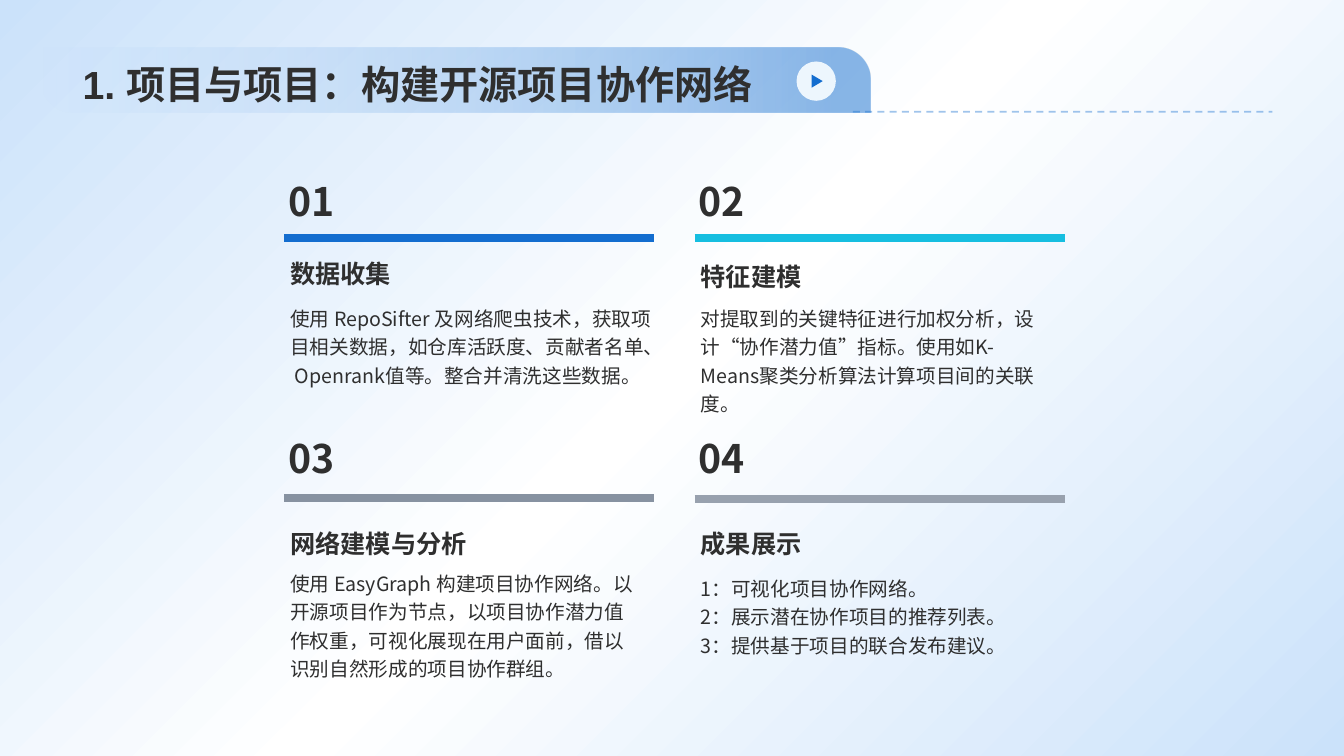
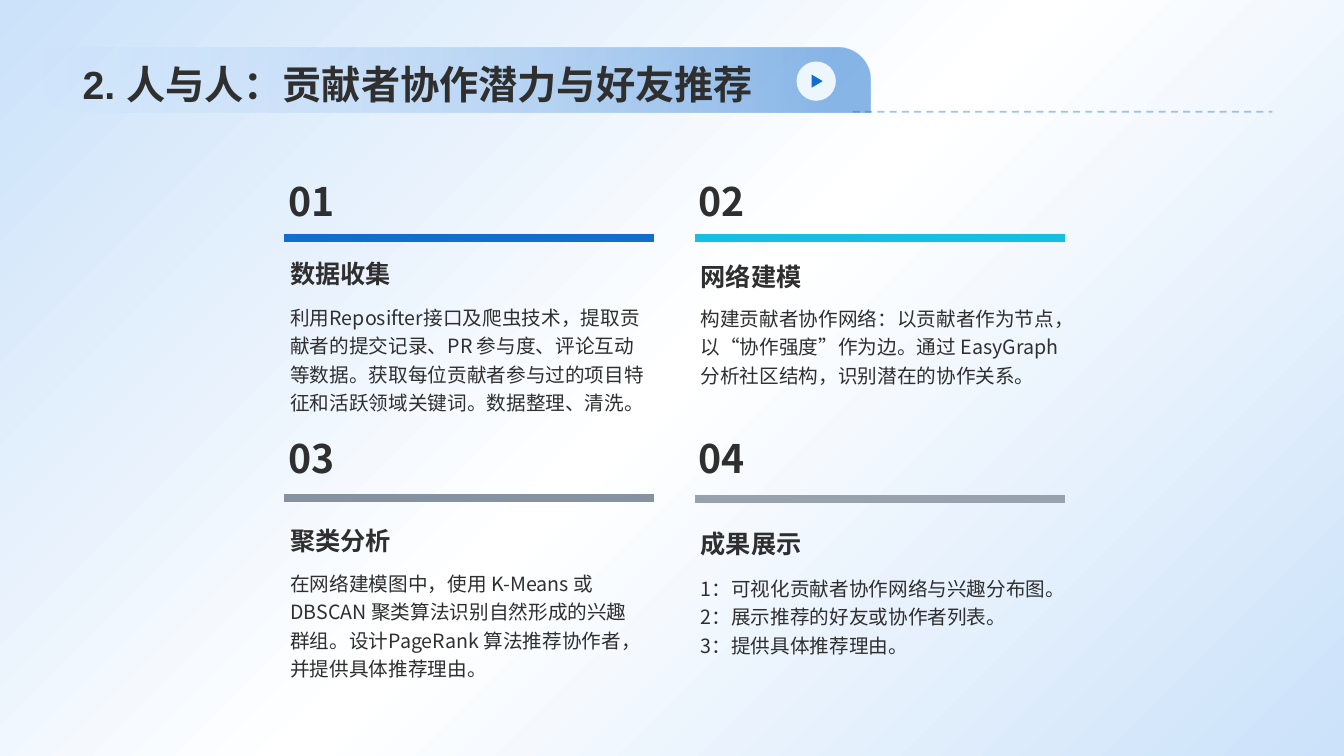
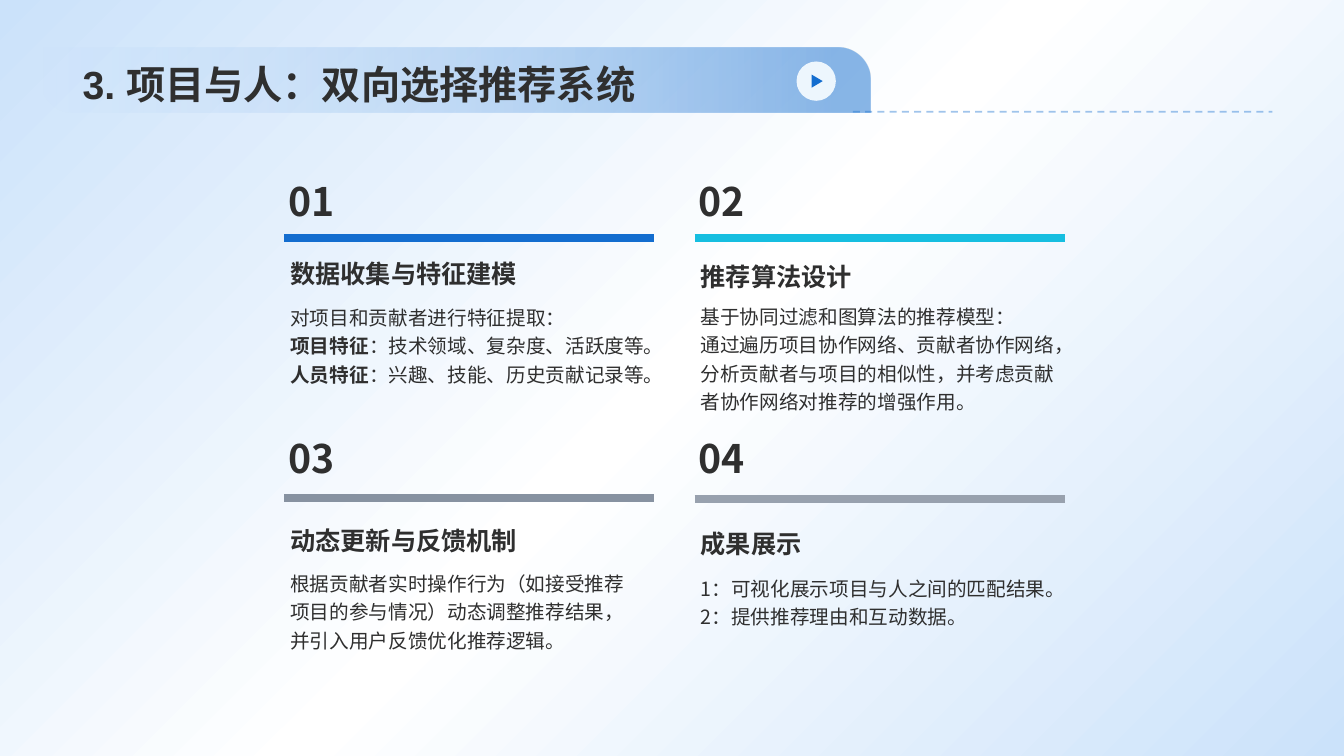
from lxml import etree
from pptx import Presentation
from pptx.dml.color import RGBColor
from pptx.enum import dml, lang, shapes, text
from pptx.oxml import ns
from pptx.util import Inches, Pt

BLUE, CYAN, SLATE, GREY, INK = "136DCF", "16BEE0", "8792A1", "98A1AE", "2F2F2F"
CJK = "Noto Sans CJK SC"
hex_color = RGBColor.from_string


def set_gradient(element, stops):
    stop_list = element.xpath(".//a:gradFill/a:gsLst")[0]
    for old in list(stop_list):
        stop_list.remove(old)
    for position, color, opacity in stops:
        stop = etree.SubElement(stop_list, ns.qn("a:gs"), pos=str(position * 1000))
        shade = etree.SubElement(stop, ns.qn("a:srgbClr"), val=color)
        etree.SubElement(shade, ns.qn("a:alpha"), val=str(opacity * 1000))


def write(frame, lines, frame_format, size, bold=False, spacing=1.0, latin=CJK):
    for name, value in frame_format.items():
        setattr(frame, name, value)
    for index, line in enumerate(lines):
        paragraph = frame.paragraphs[0] if index == 0 else frame.add_paragraph()
        paragraph.alignment = text.PP_ALIGN.LEFT
        paragraph.line_spacing = spacing
        lead, _, rest = line.rpartition("|")
        for words, strong in ((lead, True), (rest, bold)):
            if words:
                run = paragraph.add_run()
                run.text = words
                font_format = {"size": Pt(size), "bold": strong, "name": latin,
                               "language_id": lang.MSO_LANGUAGE_ID.SIMPLIFIED_CHINESE}
                for name, value in font_format.items():
                    setattr(run.font, name, value)
                run.font.color.rgb = hex_color(INK)
                run.font._element.get_or_add_latin().addnext(
                    run.font._element.makeelement(ns.qn("a:ea"), {"typeface": CJK}))


padding = {f"margin_{side}": Inches(0.12) for side in ("left", "top", "right", "bottom")}
title_format = {"vertical_anchor": text.MSO_ANCHOR.BOTTOM, "word_wrap": True,
                "auto_size": text.MSO_AUTO_SIZE.NONE}
number_format = {"word_wrap": False, "auto_size": text.MSO_AUTO_SIZE.SHAPE_TO_FIT_TEXT}
body_format = {"word_wrap": True, **padding}
heading_format = {**body_format, "vertical_anchor": text.MSO_ANCHOR.MIDDLE}

steps = [
    ("01", 2.76, 1.71, 2.36, BLUE, 1.0),
    ("02", 6.83, 1.71, 2.36, CYAN, 1.2),
    ("03", 2.76, 4.26, 4.94, SLATE, 1.2),
    ("04", 6.83, 4.26, 4.95, GREY, 1.2),
]

topics = [
    ("1. 项目与项目：构建开源项目协作网络", [
        ("数据收集", 2.54, 2.88, 3.83, [
            "使用 RepoSifter 及网络爬虫技术，获取项目相关数据，如仓库活跃度、贡献者名单、 Openrank值等。整合并清洗这些数据。"]),
        ("特征建模", 2.54, 2.88, 3.67, [
            "对提取到的关键特征进行加权分析，设计“协作潜力值”指标。使用如K-Means聚类分析算法计算项目间的关联度。"]),
        ("网络建模与分析", 5.19, 5.51, 3.67, [
            "使用 EasyGraph 构建项目协作网络。以开源项目作为节点，以项目协作潜力值作权重，可视化展现在用户面前，借以识别自然形成的项目协作群组。"]),
        ("成果展示", 5.19, 5.56, 3.67, [
            "1：可视化项目协作网络。",
            "2：展示潜在协作项目的推荐列表。",
            "3：提供基于项目的联合发布建议。"]),
    ]),
    ("2. 人与人：贡献者协作潜力与好友推荐", [
        ("数据收集", 2.54, 2.87, 3.81, [
            "利用Reposifter接口及爬虫技术，提取贡献者的提交记录、PR 参与度、评论互动等数据。获取每位贡献者参与过的项目特征和活跃领域关键词。数据整理、清洗。"]),
        ("网络建模", 2.54, 2.88, 3.92, [
            "构建贡献者协作网络：以贡献者作为节点，以“协作强度”作为边。通过 EasyGraph 分析社区结构，识别潜在的协作关系。"]),
        ("聚类分析", 5.16, 5.51, 3.67, [
            "在网络建模图中，使用 K-Means 或 DBSCAN 聚类算法识别自然形成的兴趣群组。设计PageRank 算法推荐协作者，并提供具体推荐理由。"]),
        ("成果展示", 5.19, 5.56, 3.67, [
            "1：可视化贡献者协作网络与兴趣分布图。",
            "2：展示推荐的好友或协作者列表。",
            "3：提供具体推荐理由。"]),
    ]),
    ("3. 项目与人：双向选择推荐系统", [
        ("数据收集与特征建模", 2.54, 2.87, 3.81, [
            "对项目和贡献者进行特征提取：",
            "项目特征|：技术领域、复杂度、活跃度等。",
            "人员特征|：兴趣、技能、历史贡献记录等。"]),
        ("推荐算法设计", 2.54, 2.86, 3.92, [
            "基于协同过滤和图算法的推荐模型：",
            "通过遍历项目协作网络、贡献者协作网络，分析贡献者与项目的相似性，并考虑贡献者协作网络对推荐的增强作用。"]),
        ("动态更新与反馈机制", 5.16, 5.51, 3.67, [
            "根据贡献者实时操作行为（如接受推荐项目的参与情况）动态调整推荐结果，并引入用户反馈优化推荐逻辑。"]),
        ("成果展示", 5.19, 5.56, 3.67, [
            "1：可视化展示项目与人之间的匹配结果。",
            "2：提供推荐理由和互动数据。"]),
    ]),
]

prs = Presentation()
prs.slide_width, prs.slide_height = Inches(13.33), Inches(7.5)
layout = prs.slide_layouts[5]
for placeholder in list(layout.placeholders)[1:]:
    placeholder._element.getparent().remove(placeholder._element)

backdrop = prs.slide_master.background.fill
backdrop.gradient()
backdrop.gradient_angle = 315
set_gradient(prs.slide_master._element,
             [(0, "CBE2FA", 100), (50, "FFFFFF", 100), (100, "CBE2FA", 100)])

slides = [prs.slides.add_slide(layout) for _ in topics]

banner = []
for preset, left, top, width, height, color in (
    (shapes.MSO_SHAPE.ROUND_2_DIAG_RECTANGLE, 0.4, 0.47, 8.23, 0.65, BLUE),
    (shapes.MSO_SHAPE.OVAL, 7.9, 0.61, 0.39, 0.39, "EDF6FD"),
    (shapes.MSO_SHAPE.ISOSCELES_TRIANGLE, 8.04, 0.75, 0.13, 0.11, BLUE),
):
    part = slides[0].shapes.add_shape(
        preset, Inches(left), Inches(top), Inches(width), Inches(height))
    part.shadow.inherit = False
    part.line.fill.background()
    part.fill.solid()
    part.fill.fore_color.rgb = hex_color(color)
    banner.append(part)
band, button, play_mark = banner
band.adjustments[0], band.adjustments[1] = 0, 0.5
band.fill.gradient()
band.fill.gradient_angle = 0
set_gradient(band._element, [(0, "97C4F5", 0), (96, BLUE, 50)])
play_mark.rotation = 90

dashes = slides[0].shapes.add_connector(
    shapes.MSO_CONNECTOR.STRAIGHT, Inches(8.46), Inches(1.11), Inches(12.62), Inches(1.11))
dashes.line.color.rgb = hex_color(BLUE)
dashes.line.width = Pt(1.25)
dashes.line.dash_style = dml.MSO_LINE.DASH
etree.SubElement(dashes._element.xpath(".//a:ln//a:srgbClr")[0], ns.qn("a:alpha"), val="40000")
etree.SubElement(dashes._element.spPr, ns.qn("a:effectLst"))
for part in (*banner, dashes):
    layout.shapes._spTree.append(part._element)

for slide, (title, cells) in zip(slides, topics):
    heading = slide.shapes.title
    heading.left, heading.top = Inches(0.72), Inches(0.14)
    heading.width, heading.height = Inches(11.88), Inches(0.98)
    write(heading.text_frame, [title], title_format, 28, True, latin="Arial")

    for step, cell in zip(steps, cells):
        number, left, number_top, bar_top, color, heading_spacing = step
        name, name_top, body_top, body_width, lines = cell

        bar = slide.shapes.add_connector(
            shapes.MSO_CONNECTOR.STRAIGHT, Inches(left + 0.06), Inches(bar_top),
            Inches(left + 3.73), Inches(bar_top))
        bar.line.color.rgb = hex_color(color)
        bar.line.width = Pt(6)
        etree.SubElement(bar._element.spPr, ns.qn("a:effectLst"))

        for top, width, height, words, style in (
            (number_top, 0.69, 0.57, [number], (number_format, 28, True)),
            (name_top, 3.67, 0.34, [name], (heading_format, 18, True, heading_spacing)),
            (body_top, body_width, 1.03, lines, (body_format, 14, False, 1.2)),
        ):
            box = slide.shapes.add_textbox(
                Inches(left), Inches(top), Inches(width), Inches(height))
            write(box.text_frame, words, *style)

prs.save("out.pptx")
